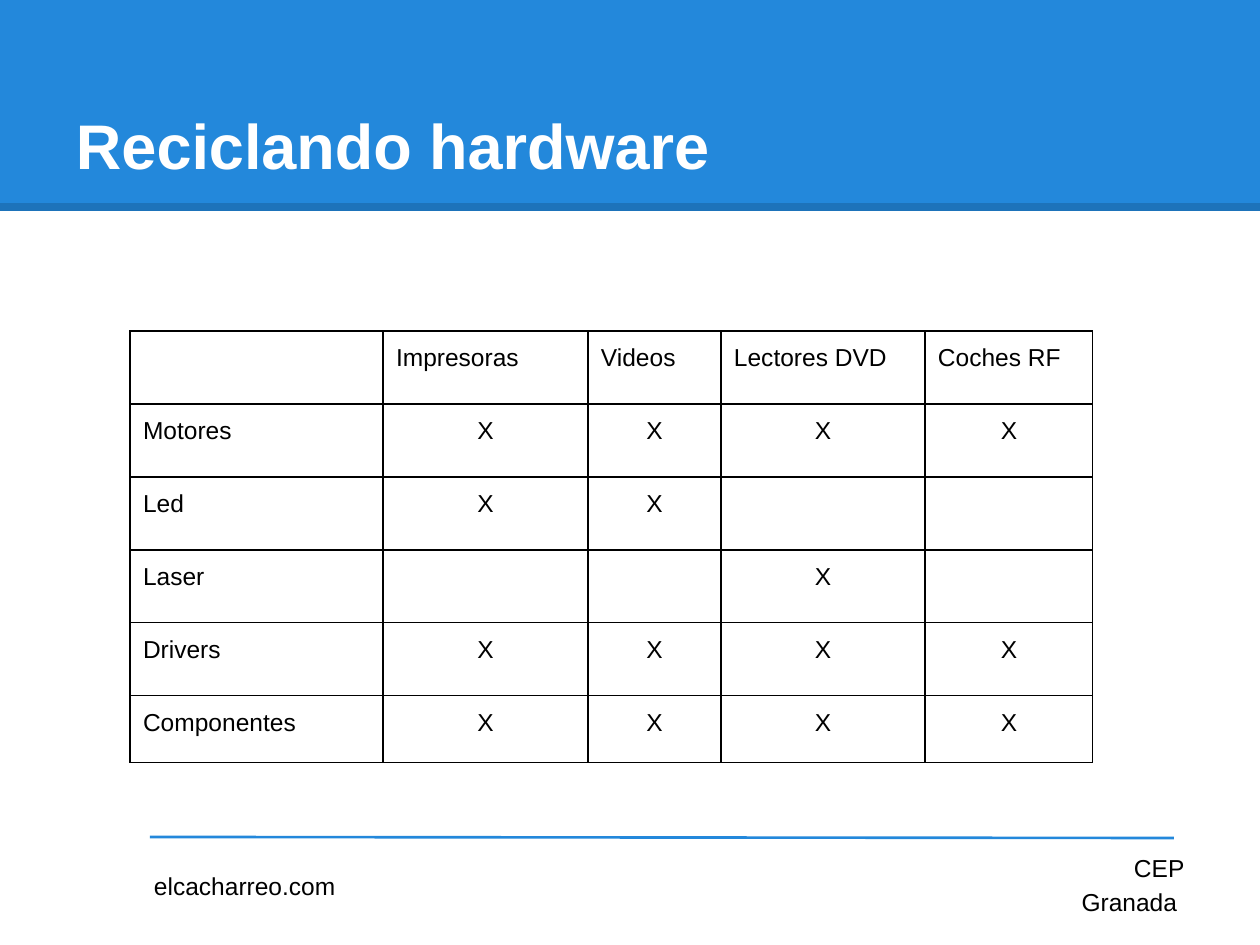
from lxml import etree
from pptx import Presentation
from pptx.dml.color import RGBColor
from pptx.enum.shapes import MSO_CONNECTOR, MSO_SHAPE
from pptx.enum.text import MSO_ANCHOR, PP_ALIGN
from pptx.oxml.ns import qn
from pptx.util import Emu, Pt

BLUE = RGBColor(0x23, 0x88, 0xDB)
BLACK = RGBColor(0, 0, 0)
WHITE = RGBColor(255, 255, 255)
LEFT, CENTER, RIGHT = PP_ALIGN.LEFT, PP_ALIGN.CENTER, PP_ALIGN.RIGHT
TOP, MIDDLE, BOTTOM = MSO_ANCHOR.TOP, MSO_ANCHOR.MIDDLE, MSO_ANCHOR.BOTTOM
RECTANGLE = MSO_SHAPE.RECTANGLE
STRAIGHT = MSO_CONNECTOR.STRAIGHT
PX_PER_INCH = 126
INSET = 13
TITLE_ONLY = 5

COLUMN_WIDTHS = [253, 205, 133, 204, 168]
ROW_HEIGHTS = [73, 73, 73, 73, 73, 67]
DEVICES = ["Impresoras", "Videos", "Lectores DVD", "Coches RF"]
PARTS = {
    "Motores": "XXXX",
    "Led": "XX  ",
    "Laser": "  X ",
    "Drivers": "XXXX",
    "Componentes": "XXXX",
}


def px(length):
    return Emu(round(length * 914400 / PX_PER_INCH))


def write_text(frame, text, size=14, color=BLACK, bold=False, align=LEFT, spacing=None):
    paragraph = frame.paragraphs[0]
    paragraph.alignment = align
    if spacing:
        paragraph.line_spacing = spacing
    paragraph.font.size = Pt(size)
    if text:
        run = paragraph.add_run()
        run.text = text
        font = run.font
        font.name = "Arial"
        font.size = Pt(size)
        font.bold = bold
        font.color.rgb = color


def set_margins(target):
    target.margin_left = target.margin_right = px(INSET)
    target.margin_top = target.margin_bottom = px(INSET)


class SlideBuilder:
    def __init__(self, presentation):
        self.slide = presentation.slides.add_slide(presentation.slide_layouts[TITLE_ONLY])
        self.shapes = self.slide.shapes

    def band(self, left, top, width, height, color):
        shape = self.shapes.add_shape(RECTANGLE, px(left), px(top), px(width), px(height))
        shape.shadow.inherit = False
        shape.fill.solid()
        shape.fill.fore_color.rgb = color
        shape.line.fill.background()

    def line(self, start, end, color, width, opacity=100):
        connector = self.shapes.add_connector(STRAIGHT, *map(px, start + end))
        connector.line.color.rgb = color
        connector.line.width = Pt(width)
        properties = connector._element.spPr
        if opacity < 100:
            rgb = properties.find(".//" + qn("a:srgbClr"))
            etree.SubElement(rgb, qn("a:alpha"), val=str(opacity * 1000))
        etree.SubElement(properties, qn("a:effectLst"))

    def place_text(self, shape, text, anchor, **style):
        frame = shape.text_frame
        frame.word_wrap = True
        frame.vertical_anchor = anchor
        set_margins(frame)
        write_text(frame, text, **style)

    def title(self, left, top, width, height, text, **style):
        title = self.shapes.title
        title.left, title.top, title.width, title.height = map(px, (left, top, width, height))
        self.shapes._spTree.append(title._element)
        self.place_text(title, text, BOTTOM, **style)

    def text(self, left, top, width, height, text, anchor=TOP, **style):
        box = self.shapes.add_textbox(px(left), px(top), px(width), px(height))
        self.place_text(box, text, anchor, **style)

    def cell_borders(self, cell, color, width):
        properties = cell._tc.get_or_add_tcPr()
        for side in ("lnL", "lnR", "lnT", "lnB"):
            border = etree.SubElement(properties, qn("a:" + side), w=str(Pt(width)))
            fill = etree.SubElement(border, qn("a:solidFill"))
            etree.SubElement(fill, qn("a:srgbClr"), val=str(color))

    def table(self, left, top, widths, heights, rows):
        frame = self.shapes.add_table(
            len(heights), len(widths), px(left), px(top), px(sum(widths)), px(sum(heights))
        )
        table = frame.table
        table.first_row = table.horz_banding = False
        for column, width in zip(table.columns, widths):
            column.width = px(width)
        for row, height in zip(table.rows, heights):
            row.height = px(height)
        for row, values in zip(table.rows, rows):
            for cell, value in zip(row.cells, values):
                self.cell_borders(cell, BLACK, 0.75)
                cell.fill.background()
                set_margins(cell)
                write_text(cell.text_frame, value, align=CENTER if value == "X" else LEFT)


def main():
    presentation = Presentation()
    presentation.slide_width = px(1260)
    presentation.slide_height = px(945)
    builder = SlideBuilder(presentation)
    builder.band(0, 0, 1260, 211, BLUE)
    builder.line((0, 207), (1260, 207), BLACK, 4.5, opacity=15)
    builder.title(63, 38, 1134, 157, "Reciclando hardware", size=36, color=WHITE, bold=True)
    builder.text(141, 858, 222, 48, "elcacharreo.com")
    builder.line((150, 837), (1174, 838), BLUE, 1.5)
    builder.text(1036, 851, 161, 63, "CEP Granada ", anchor=MIDDLE, align=RIGHT, spacing=1.15)
    rows = [["", *DEVICES]]
    rows += [[part, *(mark.strip() for mark in marks)] for part, marks in PARTS.items()]
    builder.table(130, 331, COLUMN_WIDTHS, ROW_HEIGHTS, rows)
    presentation.save("out.pptx")


if __name__ == "__main__":
    main()
